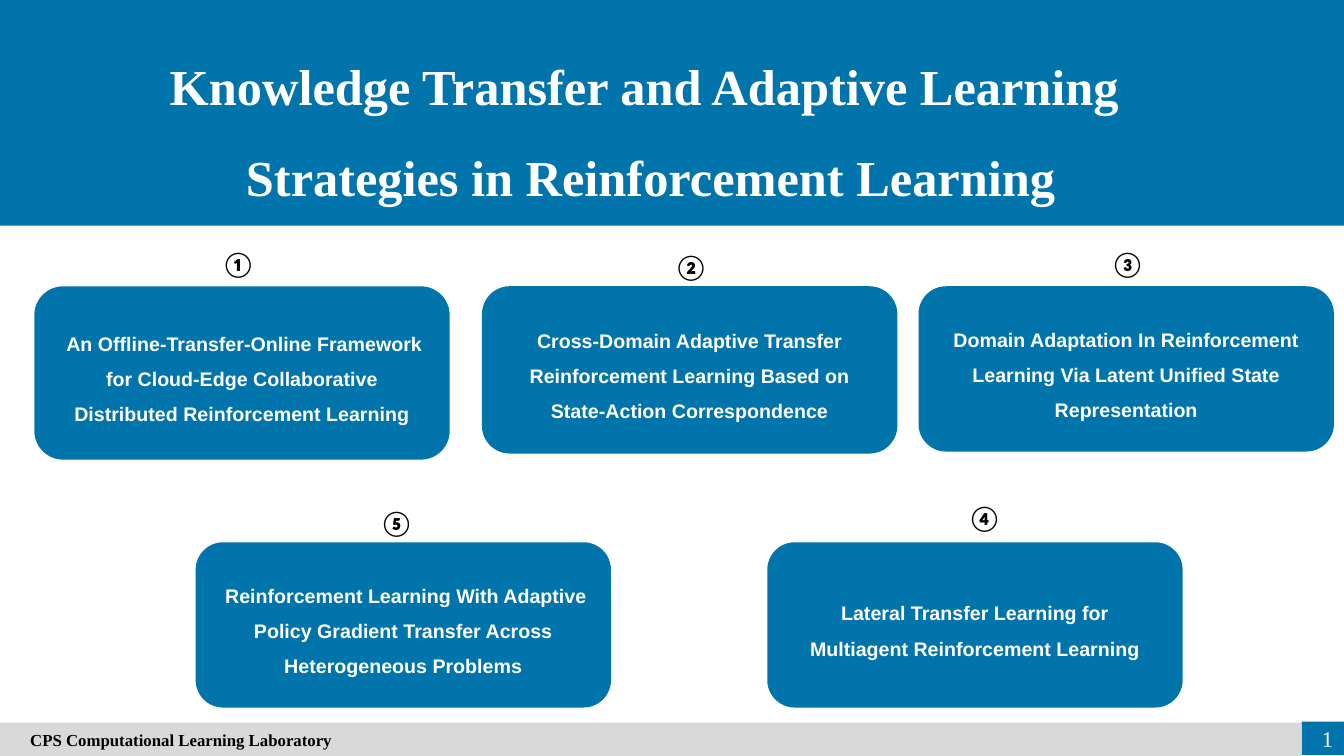
from pptx import Presentation
from pptx.dml.color import RGBColor
from pptx.enum.shapes import MSO_SHAPE as Preset
from pptx.enum.text import MSO_ANCHOR as Anchor, PP_ALIGN as Align
from pptx.util import Emu, Pt

PX = 9144
BLUE, GREY, WHITE, BLACK = "0174AB", "D9D9D9", "FFFFFF", "000000"
CARD_WIDTH = 412


def block(preset, box, color):
    shape = slide.shapes.add_shape(preset, *[Emu(v * PX) for v in box])
    shape.shadow.inherit = False
    shape.fill.solid()
    shape.fill.fore_color.rgb = RGBColor.from_string(color)
    shape.line.fill.background()
    return shape


def write(shape, lines, color, align, spacing=1.0, anchor=Anchor.MIDDLE, wrap=True, **font):
    frame = shape.text_frame
    frame.word_wrap = wrap
    frame.vertical_anchor = anchor
    frame.text = "\n".join(lines)
    for paragraph in frame.paragraphs:
        paragraph.alignment = align
        paragraph.line_spacing = spacing
        for run in paragraph.runs:
            run.font.color.rgb = RGBColor.from_string(color)
            for key, value in font.items():
                setattr(run.font, key, value)
    return frame


deck = Presentation()
deck.slide_width, deck.slide_height = Emu(1333 * PX), Emu(750 * PX)
slide = deck.slides.add_slide(deck.slide_layouts[6])

block(Preset.RECTANGLE, (0, 0, 1333, 224), BLUE)

topics = [
    ("①", (210, 241), (34, 284, 172),
     [" An Offline-Transfer-Online Framework for Cloud-Edge Collaborative "
      "Distributed Reinforcement Learning"]),
    ("②", (659, 244), (478, 284, 166),
     ["Cross-Domain Adaptive Transfer Reinforcement Learning Based on "
      "State-Action Correspondence"]),
    ("③", (1092, 241), (911, 284, 164),
     ["Domain Adaptation In Reinforcement Learning Via Latent Unified State "
      "Representation"]),
    ("④", (950, 493), (761, 538, 164),
     [" Lateral Transfer Learning for ", "Multiagent Reinforcement Learning"]),
    ("⑤", (367, 498), (194, 538, 164),
     [" Reinforcement Learning With Adaptive Policy Gradient Transfer Across "
      "Heterogeneous Problems"]),
]
for number, number_at, (left, top, height), paper in topics:
    card = block(Preset.ROUNDED_RECTANGLE, (left, top, CARD_WIDTH, height), BLUE)
    write(card, paper, WHITE, Align.CENTER, spacing=1.5, name="Arial", size=Pt(14), bold=True)
    badge = slide.shapes.add_textbox(*[Emu(v * PX) for v in (*number_at, 45, 40)])
    write(badge, [number], BLACK, Align.LEFT, anchor=Anchor.TOP, wrap=False,
          name="Calibri", size=Pt(18), bold=True)

title = slide.shapes.add_textbox(*[Emu(v * PX) for v in (34, 20, 1223, 192)])
write(title, ["Knowledge Transfer and Adaptive Learning ", "Strategies in Reinforcement Learning"],
      WHITE, Align.CENTER, spacing=1.5, anchor=Anchor.TOP,
      name="Times New Roman", size=Pt(36), bold=True)

block(Preset.RECTANGLE, (1291, 716, 42, 33), BLUE)
footer = block(Preset.RECTANGLE, (0, 717, 1291, 33), GREY)
lab = write(footer, ["CPS Computational Learning Laboratory"], BLACK, Align.LEFT,
            name="Times New Roman", size=Pt(12), bold=True)
lab.margin_left = Emu(30 * PX)

page = slide.shapes.add_textbox(*[Emu(v * PX) for v in (1269, 713, 63, 40)])
write(page, ["1"], WHITE, Align.RIGHT, name="Times New Roman", size=Pt(16))

deck.save("out.pptx")
